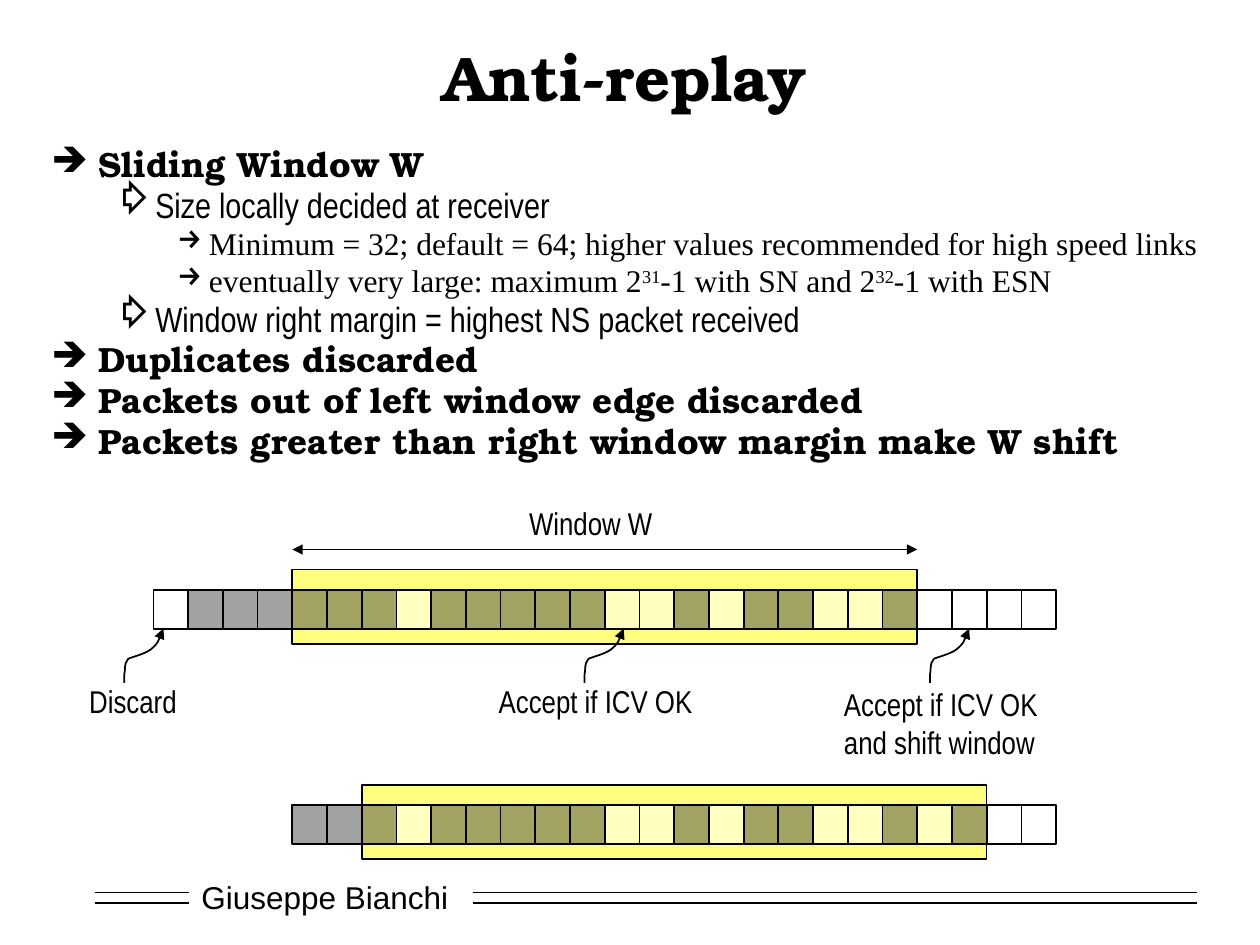
from lxml.etree import SubElement
from pptx import Presentation
from pptx.dml.color import RGBColor
from pptx.enum.shapes import MSO_CONNECTOR as Connector, MSO_SHAPE as Shape
from pptx.enum.text import MSO_ANCHOR as Anchor, MSO_AUTO_SIZE as AutoSize, PP_ALIGN as Align
from pptx.oxml.ns import qn
from pptx.util import Pt

BLACK, WHITE, GREY, YELLOW = "000000", "FFFFFF", "474747", "FFFF00"
SERIF, NARROW, ROMAN, SANS = "TeX Gyre Bonum", "Arial Narrow", "Times New Roman", "Arial"

CELL_LEFT, CELL_PITCH, CELL_HEIGHT = 87.7, 19.84, 22.3
WINDOW_CELLS, WINDOW_RISE, WINDOW_HEIGHT = 18, 11.5, 42.5
RECEIVED = "01111110111110010110010000"
SHIFTED = RECEIVED[:23] + "1" + RECEIVED[24:]

LEVELS = [
    {"bullet": "➔", "left": 27, "hang": 27, "size": 20, "font": SERIF, "bold": True},
    {"bullet": "⇨", "left": 58.5, "hang": 22.5, "size": 20, "font": NARROW},
    {"bullet": "→", "left": 90, "hang": 18, "size": 18, "font": ROMAN},
]
BODY = [
    (0, ["Sliding Window W"]),
    (1, ["Size locally decided at receiver"]),
    (2, ["Minimum = 32; default = 64; higher values recommended for high speed links"]),
    (2, ["eventually very large: maximum 2", "31", "-1 with SN and 2", "32", "-1 with ESN"]),
    (1, ["Window right margin = highest NS packet received"]),
    (0, ["Duplicates discarded"]),
    (0, ["Packets out of left window edge discarded"]),
    (0, ["Packets greater than right window margin make W shift"]),
]
CURVE = [
    (0, -1.4), (0, -2.9), (0, -5),
    (0.7, -7.2), (-0.5, -10.8), (2.2, -13.7),
    (5, -15.1), (13, -16.6), (16.4, -20.2),
    (19.4, -23), (20.9, -27.4), (22.3, -31),
]
CURVE_TOP = 390.2


def colour(value):
    return RGBColor.from_string(value)


def add_span(para, text, size, font, bold=False):
    span = para.add_run()
    span.text = text
    span.font.size = Pt(size)
    span.font.name = font
    span.font.bold = bold
    span.font.color.rgb = colour(BLACK)
    return span


def add_text_box(page, left, top, width, height, wrap=True):
    box = page.shapes.add_textbox(Pt(left), Pt(top), Pt(width), Pt(height))
    box.text_frame.word_wrap = wrap
    return box


def add_label(page, left, top, width, height, *lines):
    frame = add_text_box(page, left, top, width, height, wrap=False).text_frame
    frame.auto_size = AutoSize.SHAPE_TO_FIT_TEXT
    para = frame.paragraphs[0]
    for number, line in enumerate(lines):
        if number:
            para.add_line_break()
        add_span(para, line, 18, NARROW)


def add_title(page, text):
    frame = add_text_box(page, 54, 18, 606, 51).text_frame
    frame.vertical_anchor = Anchor.MIDDLE
    frame.paragraphs[0].alignment = Align.CENTER
    add_span(frame.paragraphs[0], text, 36, SERIF, bold=True)


def format_bullet(para, style):
    para.line_spacing = 0.8
    properties = para._p.get_or_add_pPr()
    properties.set("marL", str(Pt(style["left"])))
    properties.set("indent", str(-Pt(style["hang"])))
    before = SubElement(properties, qn("a:spcBef"))
    SubElement(before, qn("a:spcPct"), val="20000")
    bullet_colour = SubElement(properties, qn("a:buClr"))
    SubElement(bullet_colour, qn("a:srgbClr"), val=BLACK)
    SubElement(properties, qn("a:buChar"), char=style["bullet"])


def add_body(page):
    frame = add_text_box(page, 22.3, 82.8, 676.8, 238.3).text_frame
    for number, (level, texts) in enumerate(BODY):
        para = frame.add_paragraph() if number else frame.paragraphs[0]
        para.level = level
        style = LEVELS[level]
        format_bullet(para, style)
        for position, text in enumerate(texts):
            span = add_span(para, text, style["size"], style["font"], style.get("bold", False))
            if position % 2:
                span.font._element.set("baseline", "30000")


def add_translucent_rect(page, left, top, width, height, fill):
    rect = page.shapes.add_shape(Shape.RECTANGLE, Pt(left), Pt(top), Pt(width), Pt(height))
    rect.shadow.inherit = False
    rect.fill.solid()
    rect.fill.fore_color.rgb = colour(fill)
    for tint in rect.fill._xPr.iter(qn("a:srgbClr")):
        SubElement(tint, qn("a:alpha"), val="50000")
    style_line(rect)


def style_line(shape, *arrow_ends):
    shape.line.color.rgb = colour(BLACK)
    shape.line.width = Pt(1)
    for end in arrow_ends:
        SubElement(shape.line._get_or_add_ln(), qn(end), type="triangle")


def add_line(page, left, right, y, *arrow_ends):
    line = page.shapes.add_connector(Connector.STRAIGHT, Pt(left), Pt(y), Pt(right), Pt(y))
    style_line(line, *arrow_ends)
    SubElement(line._element.spPr, qn("a:effectLst"))


def add_curved_arrow(page, left):
    builder = page.shapes.build_freeform(Pt(left), Pt(CURVE_TOP))
    builder.add_line_segments([(Pt(left + x), Pt(CURVE_TOP + y)) for x, y in CURVE], close=False)
    arrow = builder.convert_to_shape()
    arrow.shadow.inherit = False
    arrow.fill.background()
    style_line(arrow, "a:tailEnd")
    segments = list(arrow._element.iter(qn("a:lnTo")))
    outline = segments[0].getparent()
    for start in range(0, len(segments), 3):
        bezier = SubElement(outline, qn("a:cubicBezTo"))
        for segment in segments[start:start + 3]:
            bezier.append(segment[0])
            outline.remove(segment)


def column_left(column):
    return CELL_LEFT + column * CELL_PITCH


def add_packet_row(page, top, received, first_cell, window_start):
    add_translucent_rect(page, column_left(window_start), top - WINDOW_RISE,
                         WINDOW_CELLS * CELL_PITCH, WINDOW_HEIGHT, YELLOW)
    for column in range(first_cell, len(received)):
        fill = GREY if received[column] == "1" else WHITE
        add_translucent_rect(page, column_left(column), top, CELL_PITCH, CELL_HEIGHT, fill)


def add_footer(page):
    frame = add_text_box(page, 108, 498.2, 156, 28.8).text_frame
    frame.vertical_anchor = Anchor.MIDDLE
    add_span(frame.paragraphs[0], "Giuseppe Bianchi", 18, SANS)
    for y in (510, 516.2):
        add_line(page, 54, 108, y)
        add_line(page, 270, 684, y)


def main():
    deck = Presentation()
    deck.slide_width, deck.slide_height = Pt(720), Pt(540)
    page = deck.slides.add_slide(deck.slide_layouts[6])
    add_footer(page)
    add_title(page, "Anti-replay")
    add_body(page)
    add_packet_row(page, 337, RECEIVED, first_cell=0, window_start=4)
    add_packet_row(page, 460, SHIFTED, first_cell=4, window_start=6)
    add_line(page, column_left(4), column_left(4 + WINDOW_CELLS), 314, "a:headEnd", "a:tailEnd")
    add_label(page, 295.2, 284.5, 85, 28.8, "Window W")
    for left in (71.1, 334.1, 531.5):
        add_curved_arrow(page, left)
    add_label(page, 43.9, 386, 64.8, 28.8, "Discard")
    add_label(page, 277.9, 386, 125.3, 28.8, "Accept if ICV OK")
    add_label(page, 475.2, 388, 125.3, 50.4, "Accept if ICV OK", "and shift window")
    deck.save("out.pptx")


if __name__ == "__main__":
    main()
